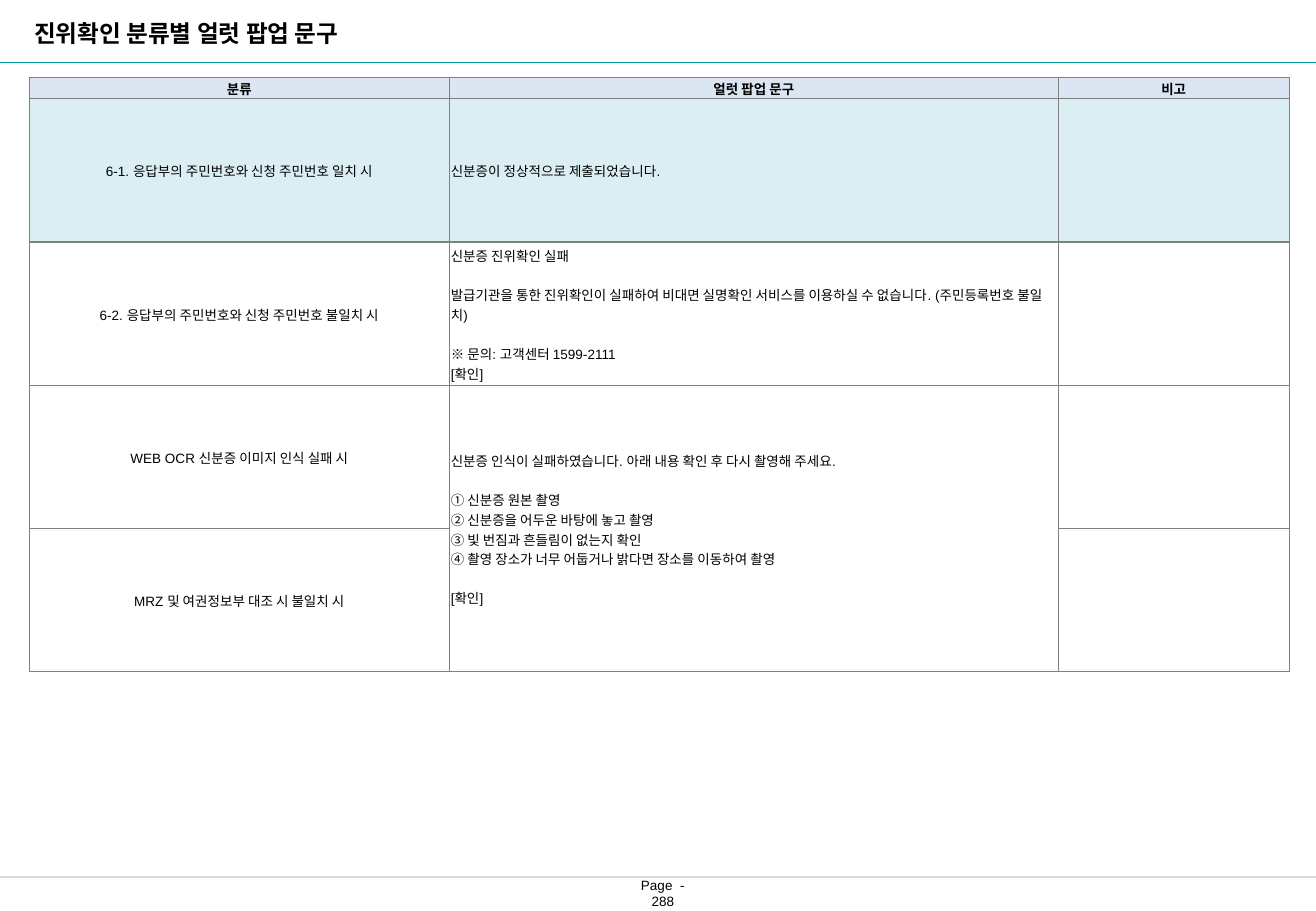
from lxml import etree
from pptx import Presentation
from pptx.dml.color import RGBColor
from pptx.enum.shapes import MSO_CONNECTOR
from pptx.enum.text import MSO_ANCHOR, MSO_AUTO_SIZE, PP_ALIGN
from pptx.oxml import parse_xml
from pptx.oxml.ns import nsdecls, qn
from pptx.util import Inches, Pt

WIDTH, HEIGHT = 10.83, 7.5
LATIN, KOREAN = "Arial", "Noto Sans CJK KR"
BODY_SIZE, GAP = 8, 11.6
COLUMNS = [3.46, 5.01, 1.9]
HEADER_HEIGHT, ROW_HEIGHT = 0.17, 1.18
HEADER_FILL, SUCCESS_FILL, PLAIN_FILL = "DCE6F2", "DBEEF4", "FFFFFF"

HEADERS = ["분류", "얼럿 팝업 문구", "비고"]
# Each message is a list of blocks, and each block a list of lines.
SUCCESS = [["신분증이 정상적으로 제출되었습니다."]]
MISMATCH = [
    ["신분증 진위확인 실패"],
    ["발급기관을 통한 진위확인이 실패하여 비대면 실명확인 서비스를 이용하실 수 없습니다. (주민등록번호 불일치)"],
    ["※ 문의: 고객센터 1599-2111", "[확인]"],
]
RETAKE = [
    ["신분증 인식이 실패하였습니다. 아래 내용 확인 후 다시 촬영해 주세요."],
    [
        "① 신분증 원본 촬영",
        "② 신분증을 어두운 바탕에 놓고 촬영",
        "③ 빛 번짐과 흔들림이 없는지 확인",
        "④ 촬영 장소가 너무 어둡거나 밝다면 장소를 이동하여 촬영",
    ],
    ["[확인]"],
]
ROWS = [
    ("6-1. 응답부의 주민번호와 신청 주민번호 일치 시", SUCCESS, SUCCESS_FILL),
    ("6-2. 응답부의 주민번호와 신청 주민번호 불일치 시", MISMATCH, PLAIN_FILL),
    ("WEB OCR 신분증 이미지 인식 실패 시", RETAKE, PLAIN_FILL),
    ("MRZ 및 여권정보부 대조 시 불일치 시", [], PLAIN_FILL),
]


def color(value):
    return RGBColor.from_string(value)


def format_text(frame, size, align, bold=False):
    for para in frame.paragraphs:
        para.alignment = align
        for span in para.runs:
            font = span.font
            font.size, font.bold, font.name = Pt(size), bold, LATIN
            font.color.rgb = color("000000")
            east_asian = etree.Element(qn("a:ea"), typeface=KOREAN)
            font._element.find(qn("a:latin")).addnext(east_asian)


def set_margins(item, left, top, right, bottom):
    item.margin_left, item.margin_top = Inches(left), Inches(top)
    item.margin_right, item.margin_bottom = Inches(right), Inches(bottom)


def add_rule(slide, top, line_color, weight):
    rule = slide.shapes.add_connector(
        MSO_CONNECTOR.STRAIGHT, 0, Inches(top), Inches(WIDTH), Inches(top))
    rule.line.color.rgb = color(line_color)
    rule.line.width = Pt(weight)
    etree.SubElement(rule._element.spPr, qn("a:effectLst"))


def add_heading(slide, left, top, width, height):
    title = slide.shapes.title
    title.left, title.top = Inches(left), Inches(top)
    title.width, title.height = Inches(width), Inches(height)
    frame = title.text_frame
    frame.text = "진위확인 분류별 얼럿 팝업 문구"
    frame.word_wrap = True
    frame.auto_size = MSO_AUTO_SIZE.NONE
    frame.vertical_anchor = MSO_ANCHOR.MIDDLE
    set_margins(frame, 0.11, 0.05, 0.11, 0.05)
    format_text(frame, 14, PP_ALIGN.LEFT, bold=True)
    add_rule(slide, 0.51, "009999", 0.25)


def style_cell(cell, fill):
    properties = cell._tc.get_or_add_tcPr()
    for side in ("lnL", "lnR", "lnT", "lnB"):
        properties.append(parse_xml(
            f'<a:{side} {nsdecls("a")} w="9525"><a:solidFill>'
            f'<a:srgbClr val="808080"/></a:solidFill></a:{side}>'))
    cell.fill.solid()
    cell.fill.fore_color.rgb = color(fill)
    cell.vertical_anchor = MSO_ANCHOR.MIDDLE
    set_margins(cell, 0.01, 0.01, 0.01, 0)


def fill_message(cell, blocks):
    """Write the lines, with a gap of one line before each later block."""
    frame = cell.text_frame
    frame.text = "\n".join(line for block in blocks for line in block)
    start = 0
    for block in blocks:
        if start:
            frame.paragraphs[start].space_before = Pt(GAP)
        start += len(block)
    format_text(frame, BODY_SIZE, PP_ALIGN.LEFT)


def add_message_table(slide, left, top):
    height = HEADER_HEIGHT + ROW_HEIGHT * len(ROWS)
    table = slide.shapes.add_table(
        len(ROWS) + 1, len(COLUMNS), Inches(left), Inches(top),
        Inches(sum(COLUMNS)), Inches(height)).table
    table.first_row = table.horz_banding = False
    for column, width in zip(table.columns, COLUMNS):
        column.width = Inches(width)
    for index, row in enumerate(table.rows):
        row.height = Inches(ROW_HEIGHT if index else HEADER_HEIGHT)
    for index, label in enumerate(HEADERS):
        cell = table.cell(0, index)
        style_cell(cell, HEADER_FILL)
        cell.text_frame.text = label
        format_text(cell.text_frame, BODY_SIZE, PP_ALIGN.CENTER, bold=True)
    for index, (label, message, fill) in enumerate(ROWS, start=1):
        for cell in table.rows[index].cells:
            style_cell(cell, fill)
        category = table.cell(index, 0).text_frame
        category.text = label
        format_text(category, BODY_SIZE, PP_ALIGN.CENTER)
        if message:
            fill_message(table.cell(index, 1), message)
    table.cell(3, 1).merge(table.cell(4, 1))


def add_footer(slide, left, top, width, height):
    add_rule(slide, top + 0.01, "D9D9D9", 0.75)
    box = slide.shapes.add_textbox(
        Inches(left), Inches(top), Inches(width), Inches(height))
    frame = box.text_frame
    frame.text = "Page  - 288"
    frame.word_wrap = False
    frame.vertical_anchor = MSO_ANCHOR.MIDDLE
    set_margins(frame, 0, 0, 0, 0)
    format_text(frame, BODY_SIZE, PP_ALIGN.CENTER)


def main():
    deck = Presentation()
    deck.slide_width, deck.slide_height = Inches(WIDTH), Inches(HEIGHT)
    slide = deck.slides.add_slide(deck.slide_layouts[5])
    add_heading(slide, 0.17, 0.1, 3.04, 0.34)
    add_message_table(slide, 0.24, 0.64)
    add_footer(slide, 5.22, 7.21, 0.47, 0.29)
    deck.save("out.pptx")


if __name__ == "__main__":
    main()
